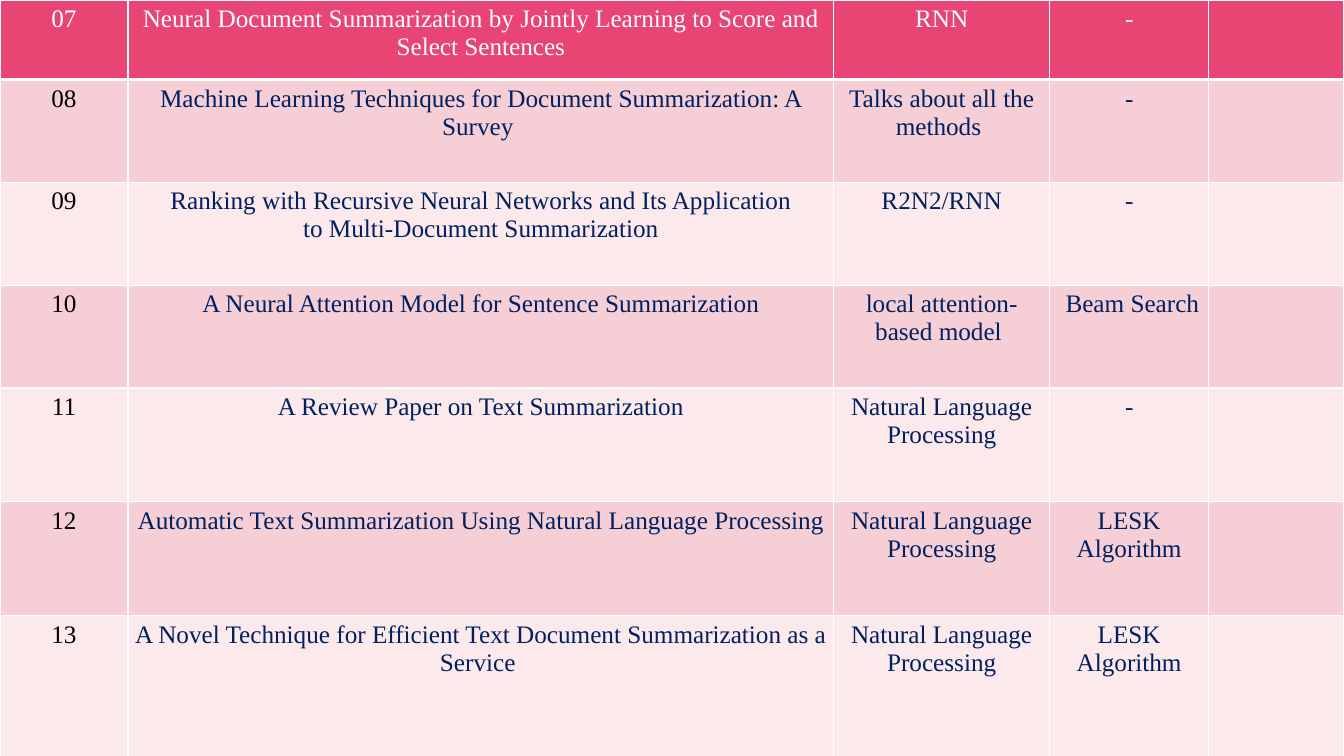
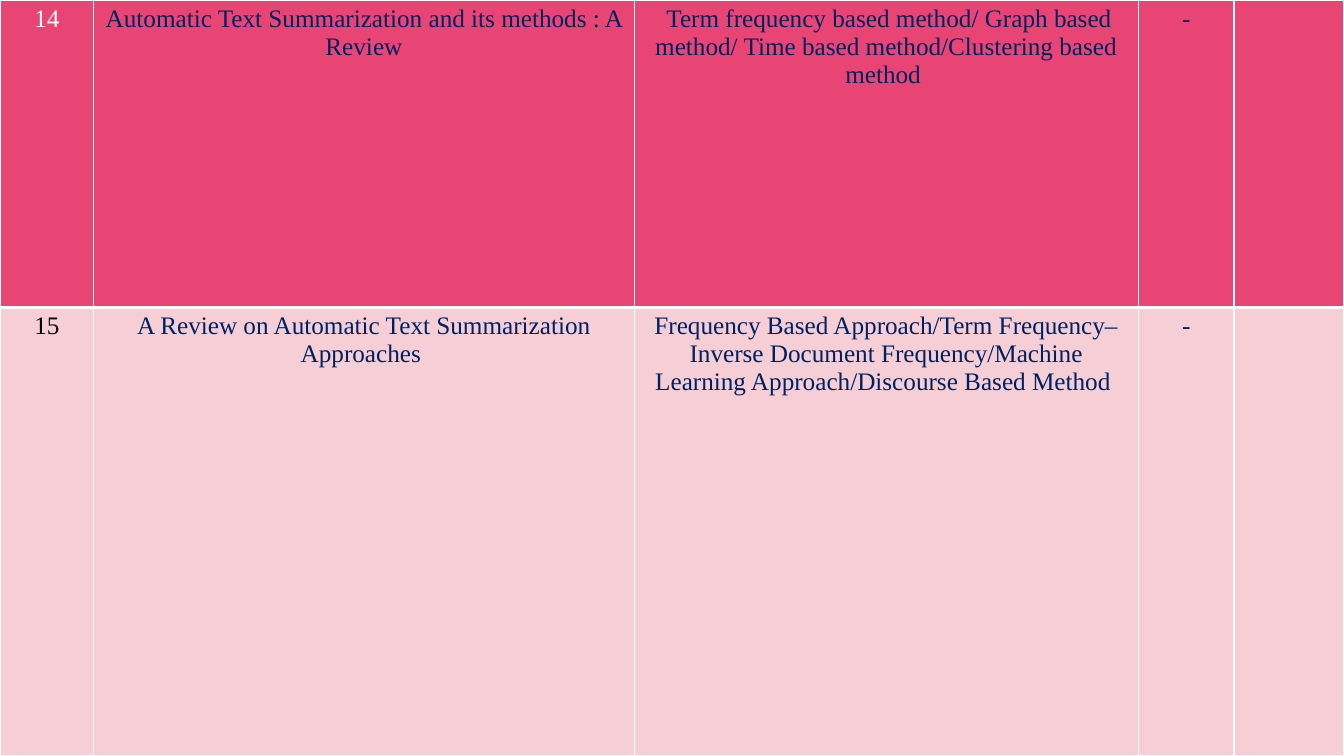
"""Two slides of a literature survey table on text summarization."""
from lxml.etree import SubElement
from pptx import Presentation
from pptx.dml.color import RGBColor
from pptx.enum.text import PP_ALIGN
from pptx.oxml.ns import qn
from pptx.util import Inches, Pt

HUE = {"back": "000000", "head": "E84574", "dark": "F6CFD6", "light": "FBE9EB",
       "line": "FFFFFF", "white": "FFFFFF", "black": "000000", "navy": "002060"}
FONT = "Times New Roman"
NLP = "Natural Language Processing"
LESK = "LESK Algorithm"

PAGES = [
    {"cols": [1.27, 7, 2.14, 1.58, 1.34],
     "tall": [0.79, 1.02, 1.02, 1.02, 1.13, 1.13, 1.47],
     "head": "white",
     "rows": [
         ("07", "Neural Document Summarization by Jointly Learning to Score and Select Sentences",
          "RNN", "-"),
         ("08", "Machine Learning Techniques for Document Summarization: A Survey ",
          "Talks about all the methods ", "-"),
         ("09", "Ranking with Recursive Neural Networks and Its Application\n"
                "to Multi-Document Summarization", "R2N2/RNN", "-"),
         ("10", "A Neural Attention Model for Sentence Summarization",
          "local attention-based model ", " Beam Search "),
         ("11", "A Review Paper on Text Summarization", NLP, "-"),
         ("12", "Automatic Text Summarization Using Natural Language Processing ", NLP, LESK),
         ("13", "A Novel Technique for Efficient Text Document Summarization as a Service ",
          NLP, LESK)]},
    {"cols": [0.93, 5.36, 5, 0.95, 1.09],
     "tall": [3.05, 4.45],
     "head": "navy",
     "rows": [
         ("14", "Automatic Text Summarization and its methods : A Review",
          " Term frequency based method/ Graph based method/ "
          "Time based method/Clustering based method ", "-"),
         ("15", "A Review on Automatic Text Summarization Approaches ",
          "Frequency Based Approach/Term Frequency–Inverse Document Frequency/"
          "Machine Learning Approach/Discourse Based Method ", "-")]},
]


def write(cell, text, size=18, color="navy", align=PP_ALIGN.CENTER):
    cell.text = text
    for para in cell.text_frame.paragraphs:
        para.alignment = align
        for run in para.runs:
            run.font.size = Pt(size)
            run.font.name = FONT
            run.font.color.rgb = RGBColor.from_string(HUE[color])


def frame(cell, fill, base):
    cell.margin_left = cell.margin_right = Inches(0.07)
    cell.margin_top = cell.margin_bottom = Inches(0.05)
    props = cell._tc.get_or_add_tcPr()
    for side, width in (("L", 1), ("R", 1), ("T", 1), ("B", base)):
        edge = SubElement(props, qn("a:ln" + side), w=str(Pt(width)))
        SubElement(SubElement(edge, qn("a:solidFill")), qn("a:srgbClr"), val=HUE["line"])
    cell.fill.solid()
    cell.fill.fore_color.rgb = RGBColor.from_string(HUE[fill])


deck = Presentation()
deck.slide_width, deck.slide_height = Inches(13.33), Inches(7.5)

for page in PAGES:
    slide = deck.slides.add_slide(deck.slide_layouts[6])
    slide.background.fill.solid()
    slide.background.fill.fore_color.rgb = RGBColor.from_string(HUE["back"])
    cols, tall = page["cols"], page["tall"]
    table = slide.shapes.add_table(len(tall), len(cols), 0, 0,
                                   Inches(sum(cols)), Inches(sum(tall))).table
    table.first_row = table.horz_banding = False
    for col, width in zip(table.columns, cols):
        col.width = Inches(width)
    for i, (row, height) in enumerate(zip(table.rows, tall)):
        row.height = Inches(height)
        fill = "head" if i == 0 else "dark" if i % 2 else "light"
        for cell in row.cells:
            frame(cell, fill, 1 if i else 3)
        for j, text in enumerate(page["rows"][i]):
            if j == 0:
                color = "black" if i else "white"
            else:
                color = "navy" if i else page["head"]
            write(row.cells[j], text, color=color)

deck.save("out.pptx")
